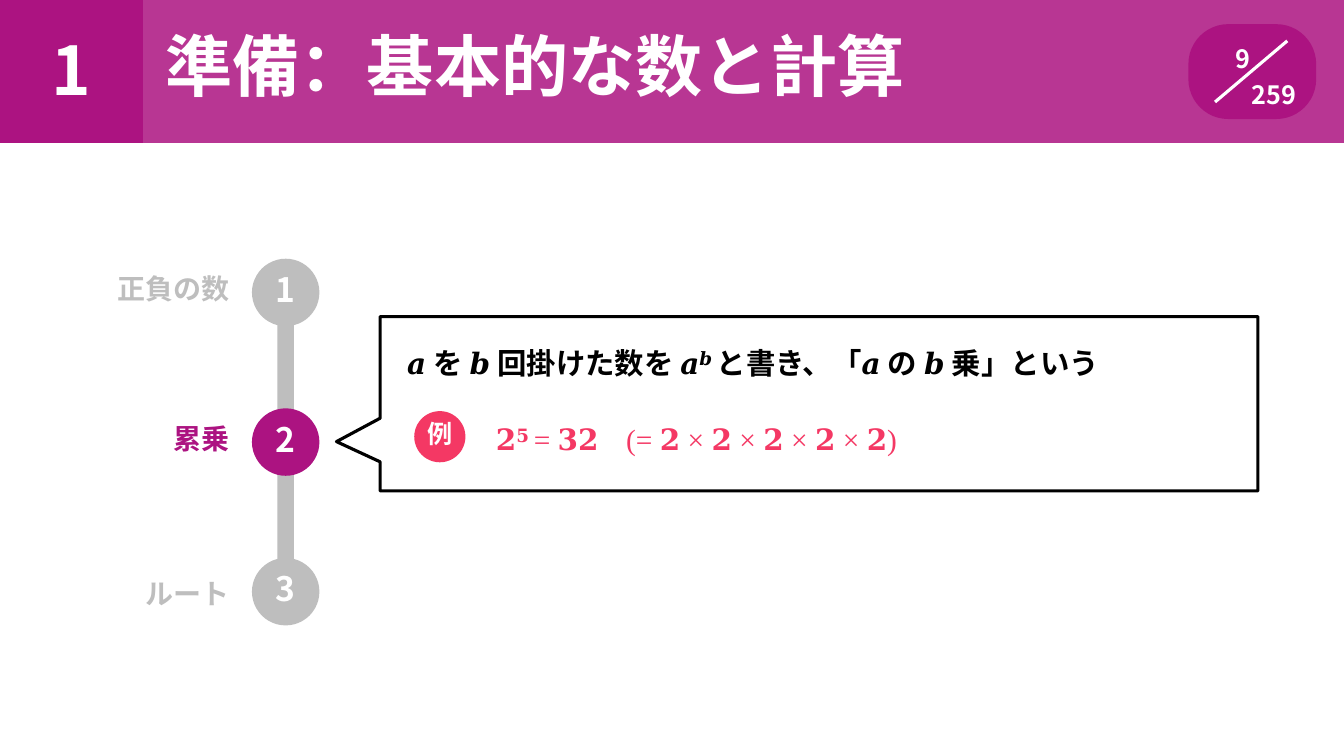
"""Build the slide that explains powers within the chapter on basic numbers."""
from lxml import etree
from pptx import Presentation
from pptx import util as u
from pptx.dml.color import RGBColor
from pptx.enum import shapes, text
from pptx.oxml.ns import qn

PURPLE = RGBColor(0xAC, 0x13, 0x81)
GREY = RGBColor(0xBE, 0xBE, 0xBE)
PINK = RGBColor(0xF4, 0x38, 0x64)
WHITE = RGBColor(0xFF, 0xFF, 0xFF)
BLACK = RGBColor(0, 0, 0)
SANS, MATH = "Noto Sans CJK JP", "Times New Roman"

CHAPTER, TITLE = "1", "準備：基本的な数と計算"
PAGE = [("9", 31.14, 1.09), ("259", 31.55, 2.0)]
STOPS = [("1", "正負の数", 6.83, GREY), ("2", "累乗", 10.63, PURPLE), ("3", "ルート", 14.54, GREY)]
DEFINITION = [
    ("𝒂 ", MATH), ("を ", SANS), ("𝒃 ", MATH), ("回掛けた数を ", SANS), ("𝒂", MATH),
    ("𝒃 ", MATH, True), ("と書き、「", SANS), ("𝒂 ", MATH), ("の ", SANS),
    ("𝒃 ", MATH), ("乗」という", SANS),
]
EXAMPLE_MARK = "例"
EXAMPLE = [("𝟐", MATH), ("𝟓 ", MATH, True), ("= 𝟑𝟐\t(= 𝟐 × 𝟐 × 𝟐 × 𝟐 × 𝟐)", MATH)]

WIDTH, HEIGHT, HEADER = 33.87, 19.05, 3.6
STOP_X, STOP_Y, STOP_GAP, STOP_SIZE, BAR = 7.2, 7.37, 3.77, 1.7, 0.42
LABEL_RIGHT, LABEL_WIDTH = 5.79, 4
BOX_LEFT, BOX_TOP, BOX_WIDTH, BOX_HEIGHT = 9.58, 7.98, 22.12, 4.39
TIP_X, TIP_Y = 8.48, 11.13
SHAPE, ALIGN = shapes.MSO_SHAPE, text.PP_ALIGN


def write(frame, runs, size, color, align=ALIGN.LEFT, tab=None):
    frame.margin_left = frame.margin_right = frame.margin_top = frame.margin_bottom = 0
    line = frame.paragraphs[0]
    line.alignment = align
    if tab:
        stops = etree.SubElement(line._p.get_or_add_pPr(), qn("a:tabLst"))
        etree.SubElement(stops, qn("a:tab"), pos=str(u.Cm(tab)), algn="l")
    for words, face, *raised in runs:
        run = line.add_run()
        run.text = words
        run.font.size = u.Pt(22.5 if raised else size)
        run.font.bold = face == SANS
        run.font.color.rgb = color
        run.font.name = face
        etree.SubElement(run._r.rPr, qn("a:ea"), typeface=face)
        if raised:
            run._r.rPr.set("baseline", "28000")


def add_text(slide, runs, left, top, width, height, size, color, **layout):
    box = slide.shapes.add_textbox(u.Cm(left), u.Cm(top), u.Cm(width), u.Cm(height))
    box.text_frame.word_wrap = True
    write(box.text_frame, runs, size, color, **layout)


def add_filled(slide, kind, left, top, width, height, color, words=None, size=24):
    part = slide.shapes.add_shape(kind, u.Cm(left), u.Cm(top), u.Cm(width), u.Cm(height))
    part.shadow.inherit = False
    part.fill.solid()
    part.fill.fore_color.rgb = color
    part.line.fill.background()
    if words:
        frame = part.text_frame
        frame.word_wrap = False
        frame.vertical_anchor = text.MSO_ANCHOR.MIDDLE
        write(frame, [(words, SANS)], size, WHITE, ALIGN.CENTER)
        frame.margin_bottom = u.Cm(0.16)
    return part


def add_header(slide):
    add_filled(slide, SHAPE.RECTANGLE, 0, 0, HEADER, HEADER, PURPLE, CHAPTER, 48)
    band = add_filled(slide, SHAPE.RECTANGLE, HEADER, 0, WIDTH - HEADER, HEADER, PURPLE)
    tint = band.fill._xPr.find(qn("a:solidFill"))[0]
    etree.SubElement(tint, qn("a:alpha"), val="85000")
    add_text(slide, [(TITLE, SANS)], 4.17, 0.62, 20, 2.1, 48, WHITE)
    badge = add_filled(slide, SHAPE.ROUNDED_RECTANGLE, 29.95, 0.61, 3.22, 2.39, PURPLE)
    badge.adjustments[0] = 0.42
    slash = slide.shapes.add_connector(
        shapes.MSO_CONNECTOR.STRAIGHT, u.Cm(30.62), u.Cm(2.57), u.Cm(32.44), u.Cm(1.03))
    slash.line.color.rgb = WHITE
    slash.line.width = u.Pt(2.25)
    etree.SubElement(slash._element.spPr, qn("a:effectLst"))
    for number, left, top in PAGE:
        add_text(slide, [(number, SANS)], left, top, 1.5, 0.85, 18, WHITE)


def add_timeline(slide):
    add_filled(slide, SHAPE.RECTANGLE, STOP_X - BAR / 2, STOP_Y, BAR,
               STOP_GAP * (len(STOPS) - 1), GREY)
    for index, (number, label, label_top, color) in enumerate(STOPS):
        top = STOP_Y + index * STOP_GAP - STOP_SIZE / 2
        add_filled(slide, SHAPE.OVAL, STOP_X - STOP_SIZE / 2, top, STOP_SIZE, STOP_SIZE,
                   color, number)
        add_text(slide, [(label, SANS)], LABEL_RIGHT - LABEL_WIDTH, label_top, LABEL_WIDTH, 0.92,
                 20, color, align=ALIGN.RIGHT)


def add_explanation(slide):
    callout = slide.shapes.add_shape(SHAPE.RECTANGULAR_CALLOUT, u.Cm(BOX_LEFT), u.Cm(BOX_TOP),
                                     u.Cm(BOX_WIDTH), u.Cm(BOX_HEIGHT))
    callout.shadow.inherit = False
    callout.fill.background()
    callout.line.color.rgb = BLACK
    callout.line.width = u.Pt(2.25)
    callout.adjustments[0] = (TIP_X - BOX_LEFT) / BOX_WIDTH - 0.5
    callout.adjustments[1] = (TIP_Y - BOX_TOP) / BOX_HEIGHT - 0.5
    add_text(slide, DEFINITION, 10.26, 8.64, 20.5, 1, 21, BLACK)
    add_filled(slide, SHAPE.OVAL, 10.44, 10.36, 1.29, 1.29, PINK, EXAMPLE_MARK, 18)
    add_text(slide, EXAMPLE, 12.5, 10.57, 18, 0.97, 21, PINK, tab=3.28)


def main():
    deck = Presentation()
    deck.slide_width, deck.slide_height = u.Cm(WIDTH), u.Cm(HEIGHT)
    slide = deck.slides.add_slide(deck.slide_layouts[6])
    add_header(slide)
    add_timeline(slide)
    add_explanation(slide)
    deck.save("out.pptx")


if __name__ == "__main__":
    main()
